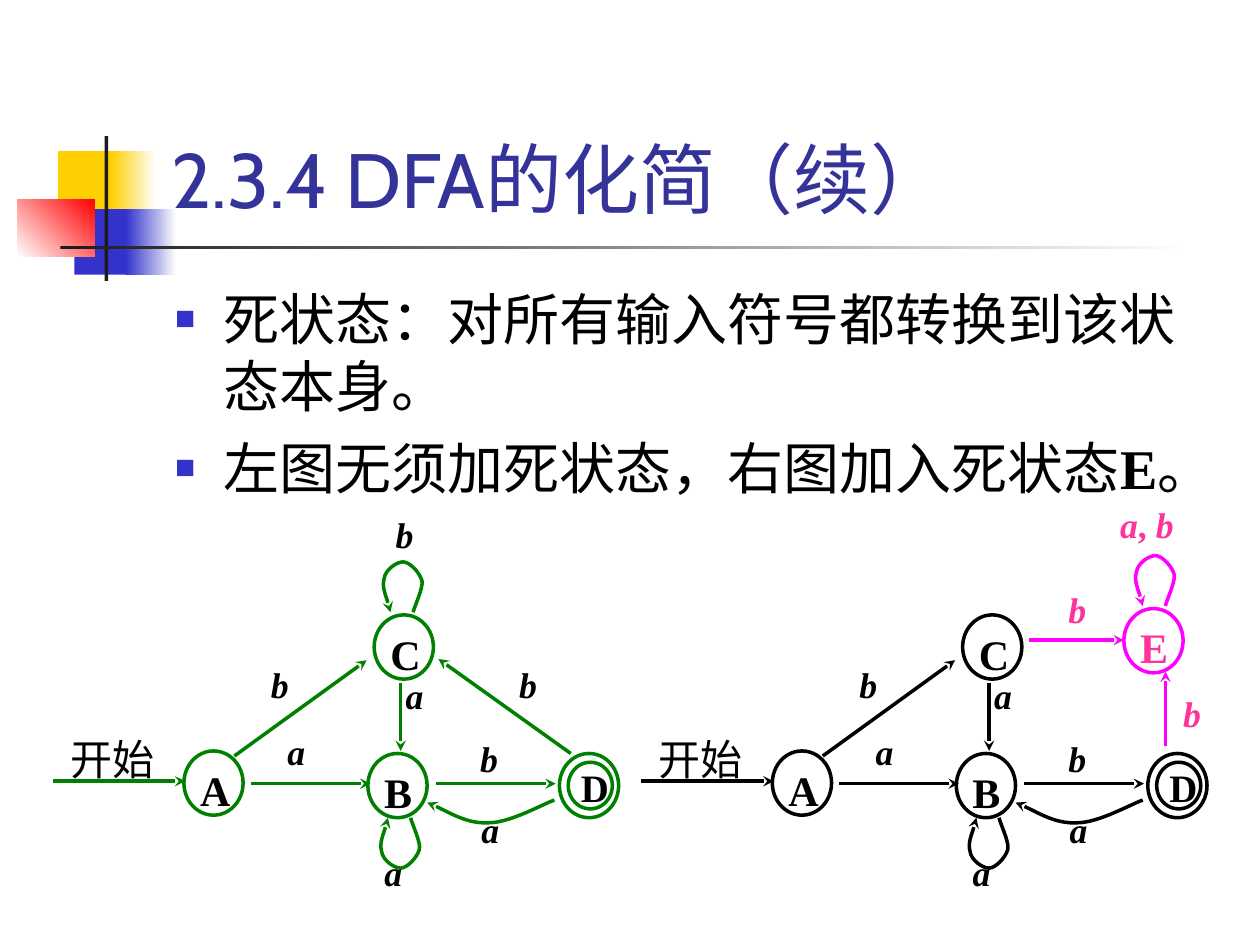
from dataclasses import dataclass
from typing import NamedTuple, Optional

from lxml import etree
from pptx import Presentation
from pptx import util as u
from pptx.dml.color import RGBColor
from pptx.enum import shapes, text
from pptx.oxml.ns import qn

PX = 9144  # EMU per px, 100 px to the inch


@dataclass(frozen=True)
class Theme:
    heading: str = "Cabin"
    serif: str = "Times New Roman"
    title: str = "333399"
    ink: str = "000000"
    blue: str = "3333CC"
    yellow: str = "FFCF01"
    red: str = "FF0000"
    rule: str = "1C1C1C"
    white: str = "FFFFFF"
    green: str = "008000"
    magenta: str = "FF00FF"
    pink: str = "FF3399"
    title_size: float = 44
    body_size: float = 32
    state_size: float = 24
    final_size: float = 22.2
    label_size: float = 20.4
    line: float = 2


T = Theme()


class Bar(NamedTuple):
    x: int
    y: int
    w: int
    h: int
    start: str
    end: Optional[str] = None
    angle: int = 0


class State(NamedTuple):
    name: str
    x: int
    y: int


class Edge(NamedTuple):
    x1: int
    y1: int
    x2: int
    y2: int


class Label(NamedTuple):
    text: str
    x: int
    y: int
    w: int = 39
    h: int = 41


BARS = [
    Bar(46, 120, 48, 52, T.yellow), Bar(88, 120, 36, 52, T.yellow, T.white),
    Bar(59, 166, 46, 52, T.blue), Bar(100, 166, 40, 52, T.blue, T.white),
    Bar(14, 158, 61, 46, T.white, T.red, 45),
    Bar(83, 108, 3, 115, T.rule), Bar(48, 195, 900, 3, T.rule, T.white),
]
# Parts that both automata share, placed for the left one
STATES = [State("A", 146, 596), State("B", 292, 598), State("C", 297, 488)]
EDGES = [Edge(42, 620, 147, 620), Edge(199, 622, 294, 622), Edge(346, 622, 441, 622),
         Edge(186, 600, 291, 524), Edge(318, 542, 318, 596)]
LABELS = [Label("a", 222, 580), Label("b", 375, 586), Label("a", 376, 642),
          Label("a", 299, 676), Label("b", 209, 527), Label("a", 316, 536)]
RETURN = [(440, 635), (431, 638), (405, 653), (388, 653), (371, 654), (350, 641), (339, 637)]
LOOP = [(0, 0), (1, 5), (8, 19), (7, 25), (5, 32), (-3, 40), (-8, 40),
        (-13, 40), (-22, 34), (-23, 27), (-25, 20), (-19, 6), (-18, 0)]
SHIFT = 467  # from the left automaton to the right one


def px(*values: int) -> list:
    return [u.Emu(v * PX) for v in values]


def rgb(color: str) -> RGBColor:
    return RGBColor.from_string(color)


def add_run(p, content: str, *, size: float, font: str = T.serif, color: str = T.ink,
            bold: bool = False, italic: bool = False) -> None:
    r = p.add_run()
    r.text = content
    f = r.font
    f.name, f.size, f.bold, f.italic = font, u.Pt(size), bold, italic
    f.color.rgb = rgb(color)


def frame(sp, insets: tuple, align=text.PP_ALIGN.LEFT, spacing: float = 1):
    """Prepare a text frame and return its first paragraph."""
    tf = sp.text_frame
    tf.word_wrap, tf.vertical_anchor = True, text.MSO_ANCHOR.TOP
    tf.margin_left, tf.margin_top, tf.margin_right, tf.margin_bottom = px(*insets)
    p = tf.paragraphs[0]
    p.alignment, p.line_spacing = align, spacing
    return p


def add_bar(s, bar: Bar) -> None:
    sp = s.shapes.add_shape(shapes.MSO_SHAPE.RECTANGLE, *px(bar.x, bar.y, bar.w, bar.h))
    sp.shadow.inherit = False
    sp.line.fill.background()
    if bar.end is None:
        sp.fill.solid()
        sp.fill.fore_color.rgb = rgb(bar.start)
        return
    sp.fill.gradient()
    sp.fill.gradient_angle = bar.angle
    for stop, color, position in zip(sp.fill.gradient_stops, (bar.start, bar.end), (0, 1)):
        stop.color.rgb, stop.position = rgb(color), position


def outline(sp, color: str) -> None:
    sp.shadow.inherit = False
    sp.fill.background()
    sp.line.color.rgb, sp.line.width = rgb(color), u.Pt(T.line)


def add_arrowhead(line) -> None:
    etree.SubElement(line.line._get_or_add_ln(), qn("a:tailEnd"), type="stealth")


def add_circle(group, x: int, y: int, w: int, h: int, color: str):
    sp = group.add_shape(shapes.MSO_SHAPE.OVAL, *px(x, y, w, h))
    outline(sp, color)
    return sp


def add_state(group, state: State, line: str, color: str = T.ink) -> None:
    sp = add_circle(group, state.x, state.y, 47, 51, line)
    add_run(frame(sp, (6, 3, 2, 5)), state.name, size=T.state_size, color=color, bold=True)


def add_final_state(group, state: State, line: str) -> None:
    add_circle(group, state.x, state.y, 47, 51, line)
    sp = add_circle(group, state.x + 7, state.y + 7, 35, 37, line)
    p = frame(sp, (5, 0, 1, 0), text.PP_ALIGN.JUSTIFY, 0.9)
    add_run(p, state.name, size=T.final_size, bold=True)


def add_edge(group, edge: Edge, color: str) -> None:
    c = group.add_connector(shapes.MSO_CONNECTOR.STRAIGHT, *px(*edge))
    c.line.color.rgb, c.line.width = rgb(color), u.Pt(T.line)
    add_arrowhead(c)
    etree.SubElement(c._element.spPr, qn("a:effectLst"))


def add_curve(group, points: list, color: str) -> None:
    """Draw cubic Bezier segments: a start, then three points for each segment."""
    builder = group.build_freeform(*points[0], scale=PX)
    builder.add_line_segments(points[1:], close=False)
    sp = builder.convert_to_shape()
    outline(sp, color)
    add_arrowhead(sp)
    steps = list(sp._element.iter(qn("a:lnTo")))
    for i in range(0, len(steps), 3):
        cubic = etree.Element(qn("a:cubicBezTo"))
        steps[i].addprevious(cubic)
        for step in steps[i:i + 3]:
            cubic.append(step[0])
            step.getparent().remove(step)


def add_loop(group, x: int, y: int, color: str, up: bool = False) -> None:
    sign = -1 if up else 1
    add_curve(group, [(x + dx, y + sign * dy) for dx, dy in LOOP], color)


def add_label(group, label: Label, color: str = T.ink) -> None:
    sp = group.add_textbox(*px(label.x, label.y, label.w, label.h))
    p = frame(sp, (6, 3, 6, 3), text.PP_ALIGN.JUSTIFY, 0.9)
    for part in label.text.partition(", "):
        if part:
            add_run(p, part, size=T.label_size, color=color, bold=True, italic=part != ", ")


def add_automaton(s, dx: int, color: str):
    group = s.shapes.add_group_shape().shapes
    for state in STATES:
        add_state(group, state._replace(x=state.x + dx), color)
    add_final_state(group, State("D", 444 + dx, 598), color)
    for e in EDGES:
        add_edge(group, e._replace(x1=e.x1 + dx, x2=e.x2 + dx), color)
    add_curve(group, [(x + dx, y) for x, y in RETURN], color)
    add_loop(group, 326 + dx, 649, color)
    for label in LABELS:
        add_label(group, label._replace(x=label.x + dx))
    start = group.add_textbox(*px(50 + dx, 579, 82, 48))
    add_run(frame(start, (6, 3, 6, 3), text.PP_ALIGN.JUSTIFY), "开始", size=T.state_size)
    return group


def add_bullet(p, runs: list) -> None:
    p.space_before, p.line_spacing, p.alignment = u.Pt(8), 1, text.PP_ALIGN.LEFT
    pPr = p._p.get_or_add_pPr()
    pPr.set("marL", str(38 * PX))
    pPr.set("indent", str(-38 * PX))
    color = etree.SubElement(pPr, qn("a:buClr"))
    etree.SubElement(color, qn("a:srgbClr"), val=T.blue)
    etree.SubElement(pPr, qn("a:buSzPct"), val="60000")
    etree.SubElement(pPr, qn("a:buChar"), char="■")
    for content, font in runs:
        add_run(p, content, size=T.body_size, font=font, bold=font == T.serif)


def place(sp, *box: int):
    sp.left, sp.top, sp.width, sp.height = px(*box)
    sp.text_frame.auto_size = text.MSO_AUTO_SIZE.NONE
    return sp.text_frame


def main() -> None:
    prs = Presentation()
    prs.slide_width, prs.slide_height = px(1000, 750)
    s = prs.slides.add_slide(prs.slide_layouts[1])

    # Title and bullets
    tf = place(s.shapes.title, 126, 23, 852, 160)
    tf.vertical_anchor = text.MSO_ANCHOR.BOTTOM
    tf.paragraphs[0].alignment = text.PP_ALIGN.LEFT
    add_run(tf.paragraphs[0], "2.3.4 DFA的化简（续）", size=T.title_size, font=T.heading, color=T.title)
    tf = place(s.placeholders[1], 129, 221, 850, 450)
    add_bullet(tf.paragraphs[0], [("死状态：对所有输入符号都转换到该状态本身。", T.heading)])
    add_bullet(tf.add_paragraph(), [("左图无须加死状态，右图加入死状态", T.heading),
                                    ("E", T.serif), ("。", T.heading)])

    # Corner decoration, behind the text
    for bar in BARS:
        add_bar(s, bar)
    for sp in (s.shapes.title, s.placeholders[1]):
        s.shapes._spTree.append(sp._element)

    # Left automaton, with a loop on C and an edge from D to C
    left = add_automaton(s, 0, T.green)
    add_loop(left, 328, 486, T.green, up=True)
    add_edge(left, Edge(453, 598, 348, 523), T.green)
    for label in (Label("b", 308, 408), Label("b", 406, 527)):
        add_label(left, label)

    # Right automaton, with the dead state E
    add_automaton(s, SHIFT, T.ink)
    dead = s.shapes.add_group_shape().shapes
    add_state(dead, State("E", 892, 483), T.magenta, T.pink)
    add_loop(dead, 925, 481, T.magenta, up=True)
    for edge in (Edge(817, 508, 892, 508), Edge(925, 592, 925, 533)):
        add_edge(dead, edge, T.magenta)
    for label in (Label("a, b", 883, 400, 75), Label("b", 933, 550), Label("b", 842, 467)):
        add_label(dead, label, T.pink)

    prs.save("out.pptx")


if __name__ == "__main__":
    main()
